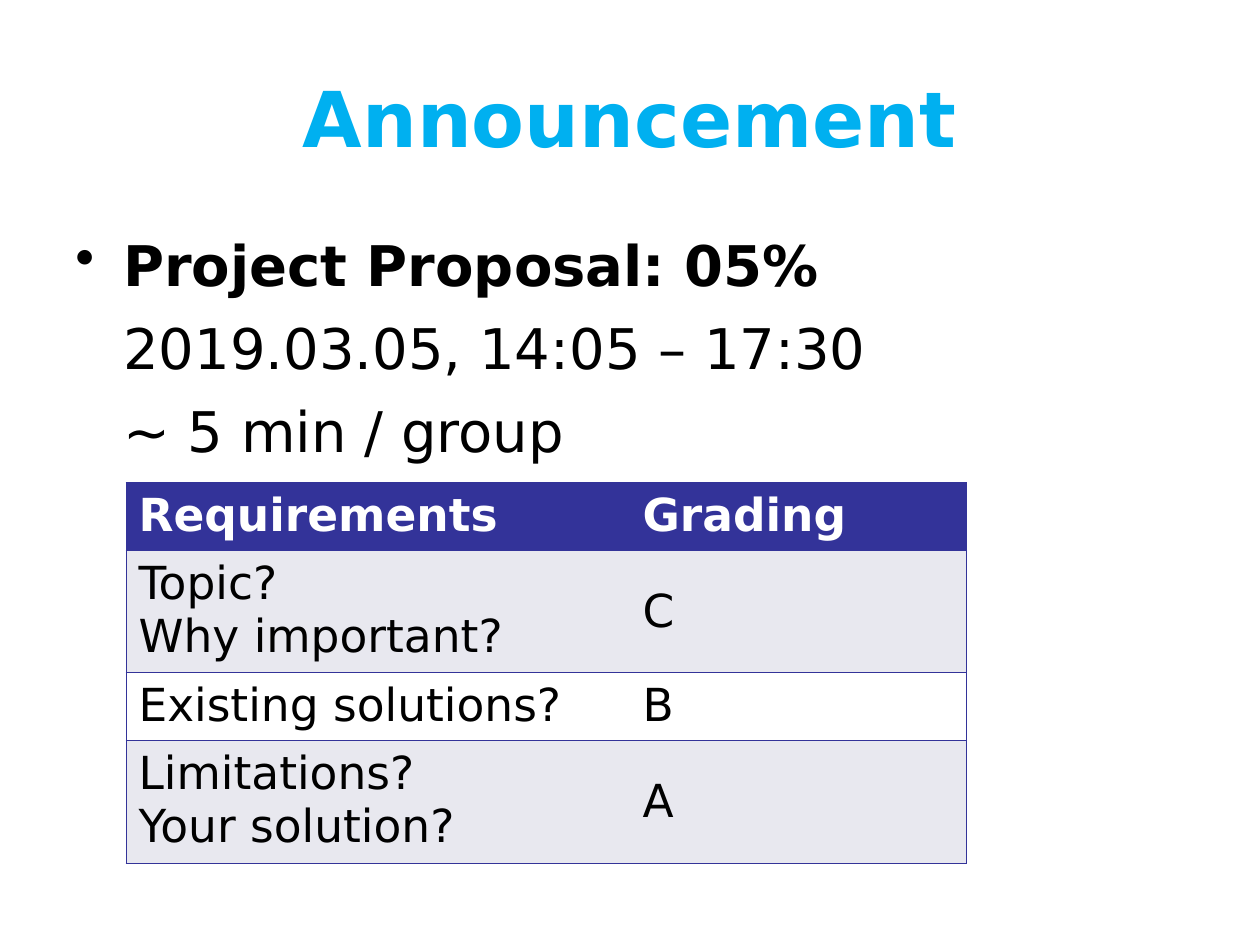
from dataclasses import dataclass

from lxml.etree import SubElement
from pptx import Presentation
from pptx.dml.color import RGBColor
from pptx.enum.text import MSO_ANCHOR, PP_ALIGN
from pptx.oxml.ns import qn
from pptx.util import Inches, Pt


@dataclass(frozen=True)
class Theme:
    font: str = "DejaVu Sans"
    title_color: str = "00B0F0"
    text_color: str = "000000"
    header_text: str = "FFFFFF"
    accent: str = "333399"
    band: str = "E8E8EF"
    plain: str = "FFFFFF"
    title_size: int = 44
    body_size: int = 32
    table_size: int = 26
    border_width: float = 0.45


class SlideBuilder:
    def __init__(self, slide, theme):
        self.slide = slide
        self.theme = theme

    def add_run(self, para, text, size, color, bold=False):
        span = para.add_run()
        span.text = text
        span.font.name = self.theme.font
        span.font.size = Pt(size)
        span.font.bold = bold
        span.font.color.rgb = RGBColor.from_string(color)

    def add_frame(self, left, top, width, height):
        box = self.slide.shapes.add_textbox(
            Inches(left), Inches(top), Inches(width), Inches(height))
        box.text_frame.word_wrap = True
        return box.text_frame

    def add_title(self, text, *place):
        frame = self.add_frame(*place)
        frame.vertical_anchor = MSO_ANCHOR.MIDDLE
        para = frame.paragraphs[0]
        para.alignment = PP_ALIGN.CENTER
        self.add_run(para, text, self.theme.title_size, self.theme.title_color, bold=True)

    def add_bullet(self, heading, details, *place):
        """Add a bold bulleted heading with plain lines aligned under it."""
        frame = self.add_frame(*place)
        indent = Inches(0.38)
        for index, text in enumerate([heading, *details]):
            first = index == 0
            para = frame.paragraphs[0] if first else frame.add_paragraph()
            props = para._p.get_or_add_pPr()
            props.set("marL", str(indent))
            props.set("indent", str(-indent if first else 0))
            if first:
                SubElement(props, qn("a:buChar"), char="•")
            else:
                SubElement(props, qn("a:buNone"))
                para.space_before = Pt(9)
            self.add_run(para, text, self.theme.body_size, self.theme.text_color, bold=first)

    def set_borders(self, cell, outer_side):
        props = cell._tc.get_or_add_tcPr()
        for side in ("L", "R", "T", "B"):
            line = SubElement(props, qn(f"a:ln{side}"))
            if side in (outer_side, "T", "B"):
                line.set("w", str(Pt(self.theme.border_width)))
                fill = SubElement(line, qn("a:solidFill"))
                SubElement(fill, qn("a:srgbClr"), val=self.theme.accent)
            else:
                line.set("w", "0")
                SubElement(line, qn("a:noFill"))

    def add_table(self, rows, left, top, widths, heights):
        theme = self.theme
        table = self.slide.shapes.add_table(
            len(rows), len(widths), Inches(left), Inches(top),
            Inches(sum(widths)), Inches(sum(heights))).table
        table.first_row = table.horz_banding = False
        for column, width in zip(table.columns, widths):
            column.width = Inches(width)
        for row_index, (row, height) in enumerate(zip(rows, heights)):
            table.rows[row_index].height = Inches(height)
            header = row_index == 0
            fill = theme.accent if header else theme.band if row_index % 2 else theme.plain
            color = theme.header_text if header else theme.text_color
            for column_index, lines in enumerate(row):
                cell = table.cell(row_index, column_index)
                self.set_borders(cell, "R" if column_index else "L")
                cell.fill.solid()
                cell.fill.fore_color.rgb = RGBColor.from_string(fill)
                if len(row[0]) > len(lines):
                    cell.vertical_anchor = MSO_ANCHOR.MIDDLE
                frame = cell.text_frame
                for line_index, text in enumerate(lines):
                    para = frame.add_paragraph() if line_index else frame.paragraphs[0]
                    self.add_run(para, text, theme.table_size, color, bold=header)


def main():
    deck = Presentation()
    deck.slide_width, deck.slide_height = Inches(10), Inches(7.5)
    page = SlideBuilder(deck.slides.add_slide(deck.slide_layouts[6]), Theme())

    # Title
    page.add_title("Announcement", 0, 0.3, 10, 1.25)

    # Proposal date and length
    page.add_bullet(
        "Project Proposal: 05%",
        ["2019.03.05, 14:05 – 17:30", "~ 5 min / group"],
        0.5, 1.78, 9.5, 5.72)

    # Grading table: each cell is a list of lines
    grading = [
        (["Requirements"], ["Grading"]),
        (["Topic?", "Why important?"], ["C"]),
        (["Existing solutions?"], ["B"]),
        (["Limitations?", "Your solution?"], ["A"]),
    ]
    page.add_table(grading, 1, 3.83, [4, 2.67], [0.54, 0.97, 0.54, 0.97])

    deck.save("out.pptx")


if __name__ == "__main__":
    main()
